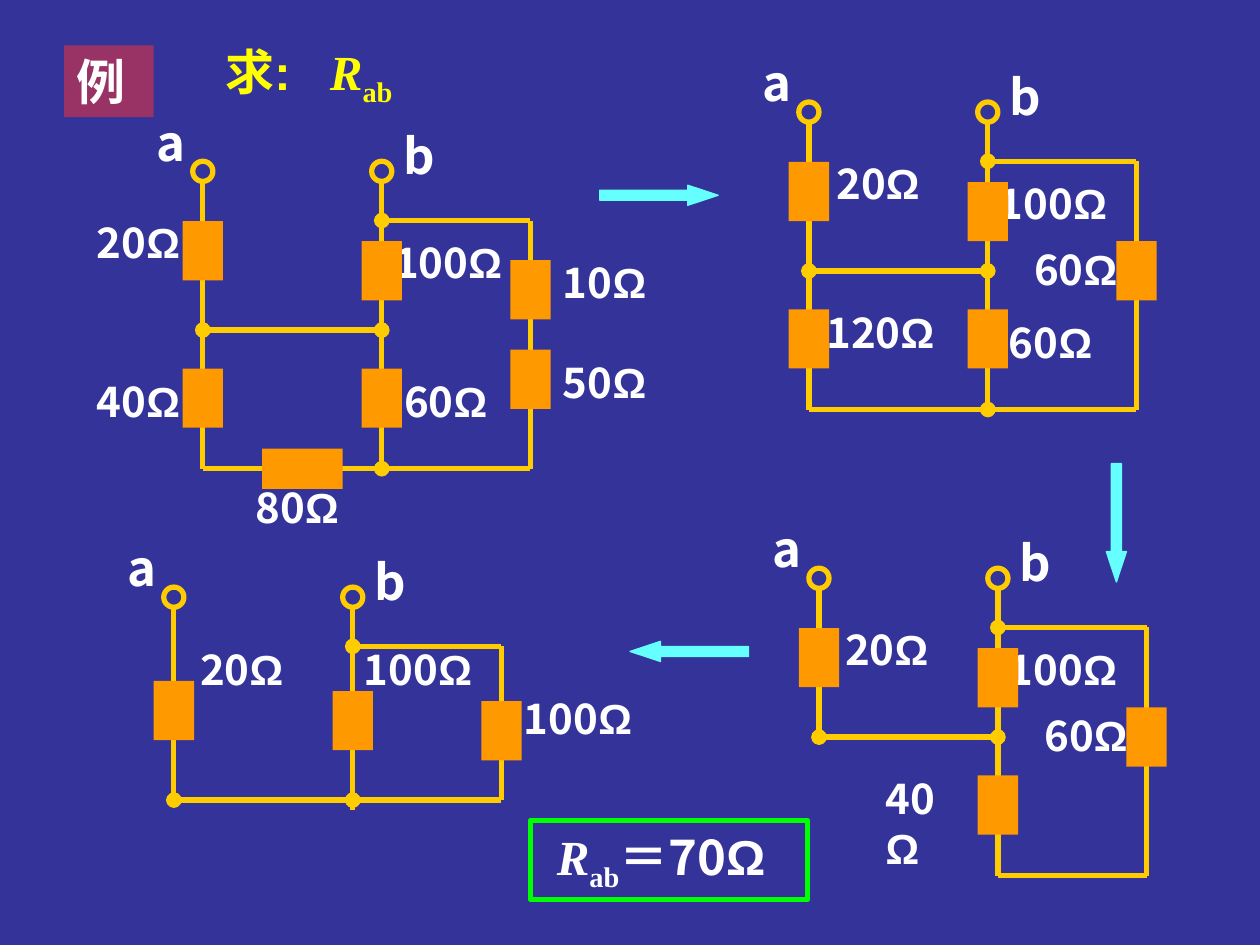
from lxml import etree
from pptx import Presentation
from pptx.dml.color import RGBColor
from pptx.enum.shapes import MSO_CONNECTOR as CONN, MSO_SHAPE as SHAPE
from pptx.enum.text import MSO_ANCHOR, MSO_AUTO_SIZE, PP_ALIGN
from pptx.oxml.ns import qn
from pptx.util import Inches, Pt

NAVY = RGBColor(0x33, 0x33, 0x99)
PLUM = RGBColor(0x99, 0x33, 0x66)
WHITE = RGBColor(0xFF, 0xFF, 0xFF)
YELLOW = RGBColor(0xFF, 0xFF, 0x00)
GOLD = RGBColor(0xFF, 0xCC, 0x00)
ORANGE = RGBColor(0xFF, 0x99, 0x00)
CYAN = RGBColor(0x66, 0xFF, 0xFF)
GREEN = RGBColor(0x00, 0xFF, 0x00)
SANS, SERIF, CJK = "Arial", "Times New Roman", "Noto Sans CJK SC"

A, B, R = 0, 1.42, 2.6
TERMINAL, BUS = 0.16, 0.39
RES_W, RES_H = 0.32, 0.47

CIRCUITS = [
    {"origin": (1.61, 1.36), "cross": 1.26, "a_end": 2.36, "b_end": 2.36, "bottom": 2.36, "closed": True,
     "resistors": [(A, 0.63), (A, 1.8), (B, 0.79), (B, 1.8), (R, 0.94), (R, 1.65)],
     "flat_resistors": [(0.79, 2.36)],
     "labels": [("20", -0.94, 0.31, 1.1), ("40", -0.94, 1.57, 1.1), ("80", 0.32, 2.41, 1.1),
                ("100", 1.42, 0.47, 1.1), ("60", 1.5, 1.57, 1.1),
                ("10", 2.76, 0.63, 1.1), ("50", 2.76, 1.42, 1.1)]},
    {"origin": (6.42, 0.89), "cross": 1.26, "a_end": 2.36, "b_end": 2.36, "bottom": 2.36, "closed": True,
     "resistors": [(A, 0.63), (A, 1.8), (B, 0.79), (B, 1.8), (R, 1.26)],
     "flat_resistors": [],
     "labels": [("20", 0.12, 0.31, 1.1), ("120", 0.04, 1.49, 1.1), ("100", 1.41, 0.47, 1.1),
                ("60", 1.49, 1.57, 1.1), ("60", 1.69, 0.99, 1.1)]},
    {"origin": (6.5, 4.59), "cross": 1.26, "a_end": 1.26, "b_end": 2.36, "bottom": 2.36, "closed": False,
     "resistors": [(A, 0.63), (B, 0.79), (B, 1.8), (R, 1.26)],
     "flat_resistors": [],
     "labels": [("20", 0.11, 0.31, 1.1), ("100", 1.41, 0.47, 1.1),
                ("60", 1.69, 0.99, 1.1), ("40", 0.43, 1.49, 0.83)]},
    {"origin": (1.38, 4.74), "cross": 1.61, "a_end": 1.61, "b_end": 1.69, "bottom": 1.61, "closed": False,
     "resistors": [(A, 0.9), (B, 0.98), (R, 1.06)],
     "flat_resistors": [],
     "labels": [("20", 0.11, 0.32, 1.1), ("100", 1.41, 0.32, 1.1), ("100", 2.68, 0.71, 1.1)]},
]
ARROWS = [(4.76, 1.47, 0), (8.39, 4.07, 90), (5, 5.09, 180)]


def box(x, y, w, h):
    return [Inches(v) for v in (x, y, w, h)]


def write(sp, runs, size, color):
    tf = sp.text_frame
    tf.word_wrap = True
    tf.auto_size = MSO_AUTO_SIZE.SHAPE_TO_FIT_TEXT
    tf.vertical_anchor = MSO_ANCHOR.TOP
    p = tf.paragraphs[0]
    p.alignment = PP_ALIGN.LEFT
    for text, font, style in runs:
        r = p.add_run()
        r.text = text
        r.font.size, r.font.bold, r.font.name = Pt(size), True, font
        r.font.color.rgb = color
        rPr = r.font._element
        etree.SubElement(rPr, qn("a:ea")).set("typeface", CJK)
        if style == "italic":
            r.font.italic = True
        elif style == "sub":
            rPr.set("baseline", "-25000")
    return p


def add_text(shapes, x, y, w, h, runs, size=24, color=WHITE):
    return write(shapes.add_textbox(*box(x, y, w, h)), runs, size, color)


def add_shape(shapes, kind, x, y, w, h, fill=None, line=None, width=3):
    sp = shapes.add_shape(kind, *box(x, y, w, h))
    sp.shadow.inherit = False
    if fill is None:
        sp.fill.background()
    else:
        sp.fill.solid()
        sp.fill.fore_color.rgb = fill
    if line is None:
        sp.line.fill.background()
    else:
        sp.line.color.rgb = line
        sp.line.width = Pt(width)
    return sp


def add_wire(shapes, x1, y1, x2, y2, dots=()):
    wire = shapes.add_connector(CONN.STRAIGHT, *box(x1, y1, x2, y2))
    wire.line.color.rgb = GOLD
    wire.line.width = Pt(3)
    ln = wire.line._get_or_add_ln()
    for end in dots:
        etree.SubElement(ln, qn(f"a:{end}")).set("type", "oval")
    etree.SubElement(wire._element.spPr, qn("a:effectLst"))


def add_circuit(s, c):
    shapes = s.shapes.add_group_shape().shapes
    x0, y0 = c["origin"]
    half = TERMINAL / 2
    for x in (A, B):
        add_shape(shapes, SHAPE.OVAL, x0 + x - half, y0 - half, TERMINAL, TERMINAL, line=GOLD)
    for name, dx, dy in (("a", -0.47, -0.52), ("b", 1.49, -0.41)):
        add_text(shapes, x0 + dx, y0 + dy, 0.39, 0.57, [(name, CJK, "")], 28)
    for value, dx, dy, w in c["labels"]:
        add_text(shapes, x0 + dx, y0 + dy, w, 0.5, [(value, CJK, ""), ("Ω", SANS, "")])

    bottom = c["bottom"]
    wires = [
        (A, half, A, c["a_end"], ()),
        (B, half, B, c["b_end"], ()),
        (A, c["cross"], B, c["cross"], ("headEnd", "tailEnd")),
        (B, BUS, R, BUS, ("headEnd",)),
        (R, BUS, R, bottom, ()),
        (B, bottom, R, bottom, ()),
    ]
    if c["closed"]:
        wires.append((A, bottom, B, bottom, ("tailEnd",)))
    for x1, y1, x2, y2, dots in wires:
        add_wire(shapes, x0 + x1, y0 + y1, x0 + x2, y0 + y2, dots)

    for centers, w, h in ((c["resistors"], RES_W, RES_H), (c["flat_resistors"], 2 * RES_W, RES_W)):
        for x, y in centers:
            add_shape(shapes, SHAPE.RECTANGLE, x0 + x - w / 2, y0 + y - h / 2, w, h, ORANGE)


def main():
    prs = Presentation()
    prs.slide_width, prs.slide_height = Inches(10), Inches(7.5)
    s = prs.slides.add_slide(prs.slide_layouts[6])
    s.background.fill.solid()
    s.background.fill.fore_color.rgb = NAVY

    badge = add_shape(s.shapes, SHAPE.RECTANGLE, 0.51, 0.36, 0.71, 0.57, PLUM)
    write(badge, [("例", SERIF, "")], 28, WHITE)

    symbol = [("R", SERIF, "italic"), ("ab", SERIF, "sub")]
    p = add_text(s.shapes, 1.69, 0.28, 1.65, 0.63, [("求:\t", SANS, "")] + symbol, 28, YELLOW)
    tabs = etree.SubElement(p._p.get_or_add_pPr(), qn("a:tabLst"))
    etree.SubElement(tabs, qn("a:tab"), pos=str(Inches(0.83)), algn="l")

    for c in CIRCUITS:
        add_circuit(s, c)

    for x, y, angle in ARROWS:
        arrow = add_shape(s.shapes, SHAPE.RIGHT_ARROW, x, y, 0.94, 0.16, CYAN, CYAN, 0.75)
        arrow.adjustments[1] = 1.51
        arrow.rotation = angle

    answer = add_shape(s.shapes, SHAPE.RECTANGLE, 4.21, 6.51, 2.2, 0.63, line=GREEN)
    write(answer, symbol + [("＝", SERIF, ""), ("70", CJK, ""), ("Ω", SANS, "")], 28, WHITE)
    answer.text_frame.margin_left = Inches(0.21)

    prs.save("out.pptx")


if __name__ == "__main__":
    main()
